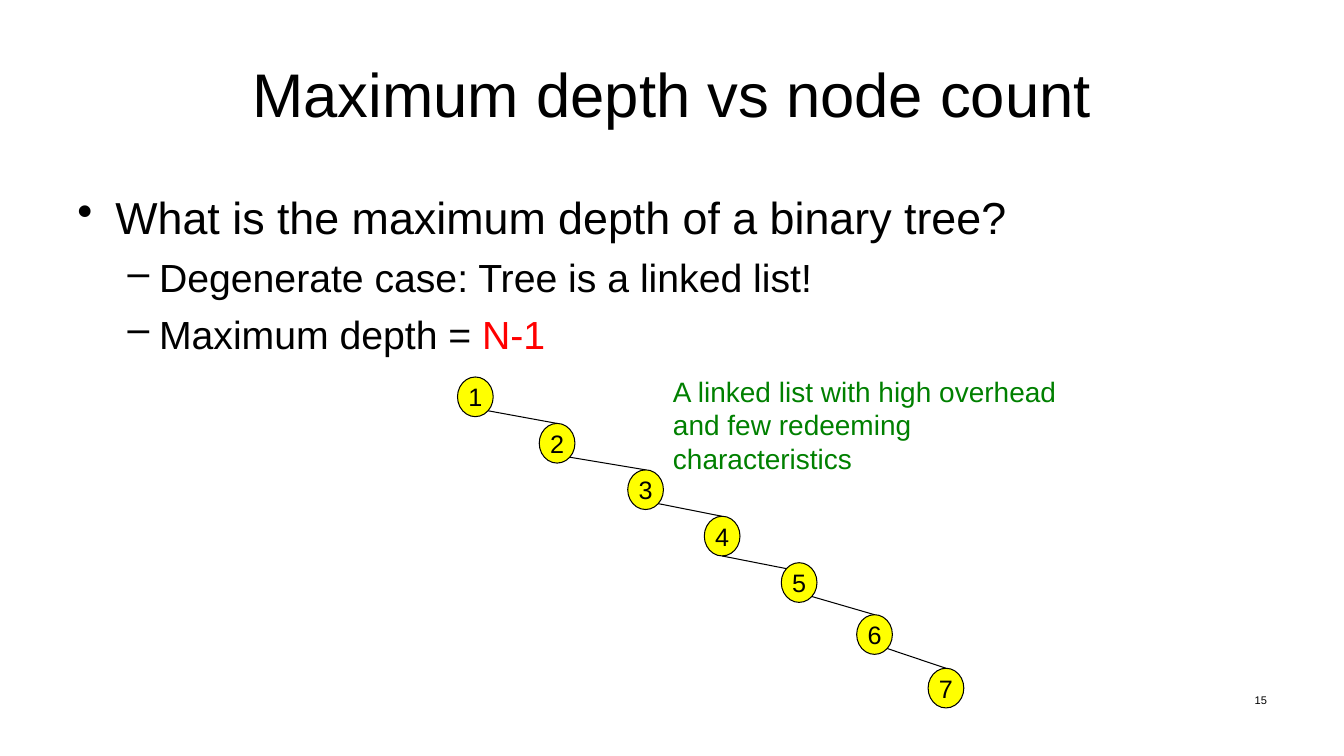
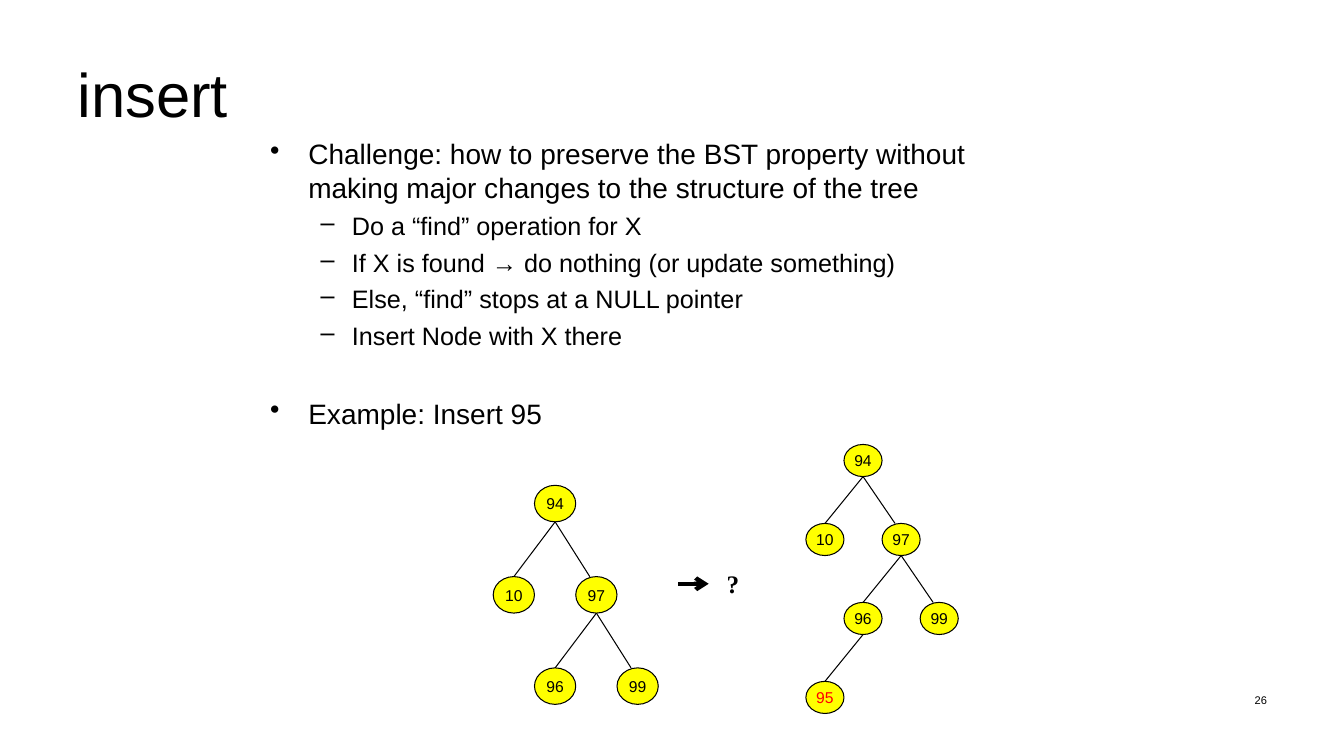
from dataclasses import dataclass

from lxml.etree import SubElement
from pptx import Presentation
from pptx.dml.color import RGBColor
from pptx.enum.shapes import MSO_CONNECTOR as Connector, MSO_SHAPE as Shape
from pptx.enum.text import MSO_ANCHOR as Anchor, PP_ALIGN as Align
from pptx.oxml.ns import qn
from pptx.util import Cm, Pt


@dataclass(frozen=True)
class Theme:
    font: str = "Arial"
    symbol_font: str = "Times New Roman"
    black: RGBColor = RGBColor(0x00, 0x00, 0x00)
    red: RGBColor = RGBColor(0xFF, 0x00, 0x00)
    green: RGBColor = RGBColor(0x00, 0x80, 0x00)
    node: RGBColor = RGBColor(0xFF, 0xFF, 0x00)
    title: float = 44
    note: float = 20
    symbol: float = 18
    number: float = 7.9
    space_ratio: float = 0.25
    thin: float = 0.75
    thick: float = 3


theme = Theme()


def write(shape, text, size, align=Align.LEFT, anchor=Anchor.TOP,
          color=theme.black, font=theme.font, wrap=True):
    frame = shape.text_frame
    frame.word_wrap = wrap
    frame.vertical_anchor = anchor
    frame.text = text
    for paragraph in frame.paragraphs:
        paragraph.alignment = align
        paragraph.font.name = font
        paragraph.font.size = Pt(size)
        paragraph.font.color.rgb = color
    return frame


def add_line(slide, start, end, width):
    line = slide.shapes.add_connector(Connector.STRAIGHT, *start, *end)
    line.line.color.rgb = theme.black
    line.line.width = Pt(width)
    SubElement(line._element.spPr, qn("a:effectLst"))
    return line


presentation = Presentation()
presentation.slide_width = Cm(33.87)
presentation.slide_height = Cm(19.05)

# Titles, slide numbers and bulleted text; each bullet is
# (level, text, red ending, extra space before in points)
pages = [
    {"title": "Maximum depth vs node count", "align": Align.CENTER, "number": "15",
     "box": (1.7, 4.65, 30.48, 4.5), "insets": (0.25, 0.13), "sizes": (32, 28),
     "bullets": [
         (0, "What is the maximum depth of a binary tree?", "", 0),
         (1, "Degenerate case: Tree is a linked list!", "", 0),
         (1, "Maximum depth = ", "N-1", 0)]},
    {"title": "insert", "align": Align.LEFT, "number": "26",
     "box": (6.63, 3.35, 19.43, 7.8), "insets": (0.18, 0.1), "sizes": (20, 18),
     "bullets": [
         (0, "Challenge: how to preserve the BST property without making "
             "major changes to the structure of the tree", "", 0),
         (1, "Do a “find” operation for X", "", 0),
         (1, "If X is found → do nothing (or update something)", "", 0),
         (1, "Else, “find” stops at a NULL pointer", "", 0),
         (1, "Insert Node with X there", "", 0),
         (0, "Example: Insert 95", "", 28)]},
]
bullet_styles = [("•", Cm(0.96), Cm(-0.96)), ("–", Cm(2.06), Cm(-0.79))]

for page in pages:
    slide = presentation.slides.add_slide(presentation.slide_layouts[6])
    title = slide.shapes.add_textbox(Cm(1.7), Cm(0.76), Cm(30.48), Cm(3.18))
    write(title, page["title"], theme.title, page["align"], Anchor.MIDDLE)
    number = slide.shapes.add_textbox(Cm(24.28), Cm(17.35), Cm(7.9), Cm(1.32))
    write(number, page["number"], theme.number, Align.RIGHT)

    body = slide.shapes.add_textbox(*map(Cm, page["box"])).text_frame
    body.word_wrap = True
    body.margin_left = body.margin_right = Cm(page["insets"][0])
    body.margin_top = body.margin_bottom = Cm(page["insets"][1])
    for index, (level, text, ending, extra) in enumerate(page["bullets"]):
        paragraph = body.add_paragraph() if index else body.paragraphs[0]
        size = page["sizes"][level]
        mark, margin, indent = bullet_styles[level]
        paragraph.level = level
        properties = paragraph._p.get_or_add_pPr()
        properties.set("marL", str(margin))
        properties.set("indent", str(indent))
        SubElement(properties, qn("a:buChar"), char=mark)
        if index:
            paragraph.space_before = Pt(size * theme.space_ratio + extra)
        paragraph.font.name = theme.font
        paragraph.font.size = Pt(size)
        paragraph.font.color.rgb = theme.black
        paragraph.add_run().text = text
        if ending:
            run = paragraph.add_run()
            run.text = ending
            run.font.color.rgb = theme.red

depth_slide, insert_slide = presentation.slides

# Edge ends, as shares of the node size measured from its centre
TOP, BOTTOM = (0, -0.5), (0, 0.5)
TOP_LEFT, BOTTOM_RIGHT = (-0.35, -0.35), (0.35, 0.35)
RIGHT_CHILD = (-0.16, -0.5)

# Trees: nodes are (column, row) steps from the root's top centre
search_nodes = {"94": (0, 0), "10": (-1, 1), "97": (1, 1), "96": (0, 2), "99": (2, 2)}
search_edges = [("94", "10", BOTTOM, TOP), ("94", "97", BOTTOM, RIGHT_CHILD),
                ("97", "96", BOTTOM, TOP), ("97", "99", BOTTOM, RIGHT_CHILD)]
trees = [
    {"slide": depth_slide, "root": (11.98, 9.5), "step": (1, 1),
     "size": (0.9, 1), "text": 18,
     "nodes": {"1": (0, 0), "2": (2.06, 1.17), "3": (4.29, 2.34), "4": (6.22, 3.51),
               "5": (8.16, 4.68), "6": (10.06, 5.99), "7": (11.86, 7.34)},
     "edges": [("4", "5", BOTTOM, TOP_LEFT)]
              + [(str(n), str(n + 1), BOTTOM_RIGHT, TOP) for n in (1, 2, 3, 5, 6)]},
    {"slide": insert_slide, "root": (13.99, 12.23), "step": (1.04, 2.3),
     "size": (1.04, 0.92), "text": 11.2,
     "nodes": search_nodes, "edges": search_edges},
    {"slide": insert_slide, "root": (21.75, 11.2), "step": (0.96, 1.99),
     "size": (0.96, 0.81), "text": 11.2,
     "nodes": {**search_nodes, "95": (-1, 3)},
     "edges": search_edges + [("96", "95", BOTTOM, TOP)]},
]

for tree in trees:
    width, height = tree["size"]
    centres = {}
    for label, (column, row) in tree["nodes"].items():
        x = tree["root"][0] + column * tree["step"][0]
        y = tree["root"][1] + row * tree["step"][1] + height / 2
        centres[label] = x, y
        node = tree["slide"].shapes.add_shape(
            Shape.OVAL, Cm(x - width / 2), Cm(y - height / 2), Cm(width), Cm(height))
        node.shadow.inherit = False
        node.fill.solid()
        node.fill.fore_color.rgb = theme.node
        node.line.color.rgb = theme.black
        node.line.width = Pt(theme.thin)
        frame = write(node, label, tree["text"], Align.CENTER, Anchor.MIDDLE,
                      theme.red if label == "95" else theme.black, wrap=False)
        frame.margin_left = frame.margin_right = 0
        frame.margin_top = frame.margin_bottom = 0
    for parent, child, *anchors in tree["edges"]:
        start, end = [
            (Cm(centres[label][0] + across * width), Cm(centres[label][1] + down * height))
            for label, (across, down) in zip((parent, child), anchors)]
        add_line(tree["slide"], start, end, theme.thin)

# Remark beside the linked list
remark = depth_slide.shapes.add_textbox(Cm(16.71), Cm(9.3), Cm(10.6), Cm(2.8))
write(remark, "A linked list with high overhead\nand few redeeming characteristics",
      theme.note, anchor=Anchor.MIDDLE, color=theme.green)

# Arrow and question mark between the search trees
arrow = add_line(insert_slide, (Cm(17.09), Cm(14.71)), (Cm(17.86), Cm(14.71)), theme.thick)
SubElement(arrow.line._get_or_add_ln(), qn("a:tailEnd"), type="arrow")
question = insert_slide.shapes.add_textbox(Cm(18.06), Cm(14.2), Cm(0.84), Cm(1.02))
frame = write(question, "?", theme.symbol, font=theme.symbol_font, wrap=False)
frame.paragraphs[0].font.bold = True

presentation.save("out.pptx")
